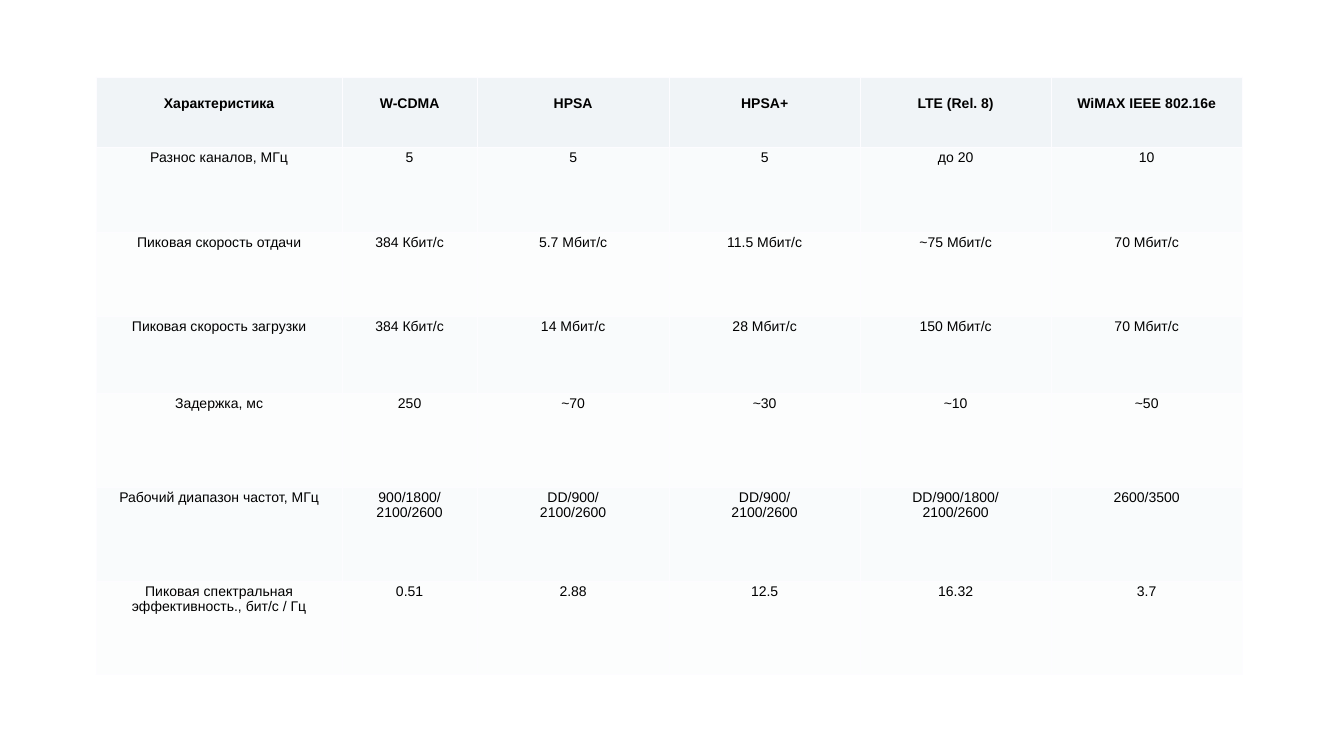
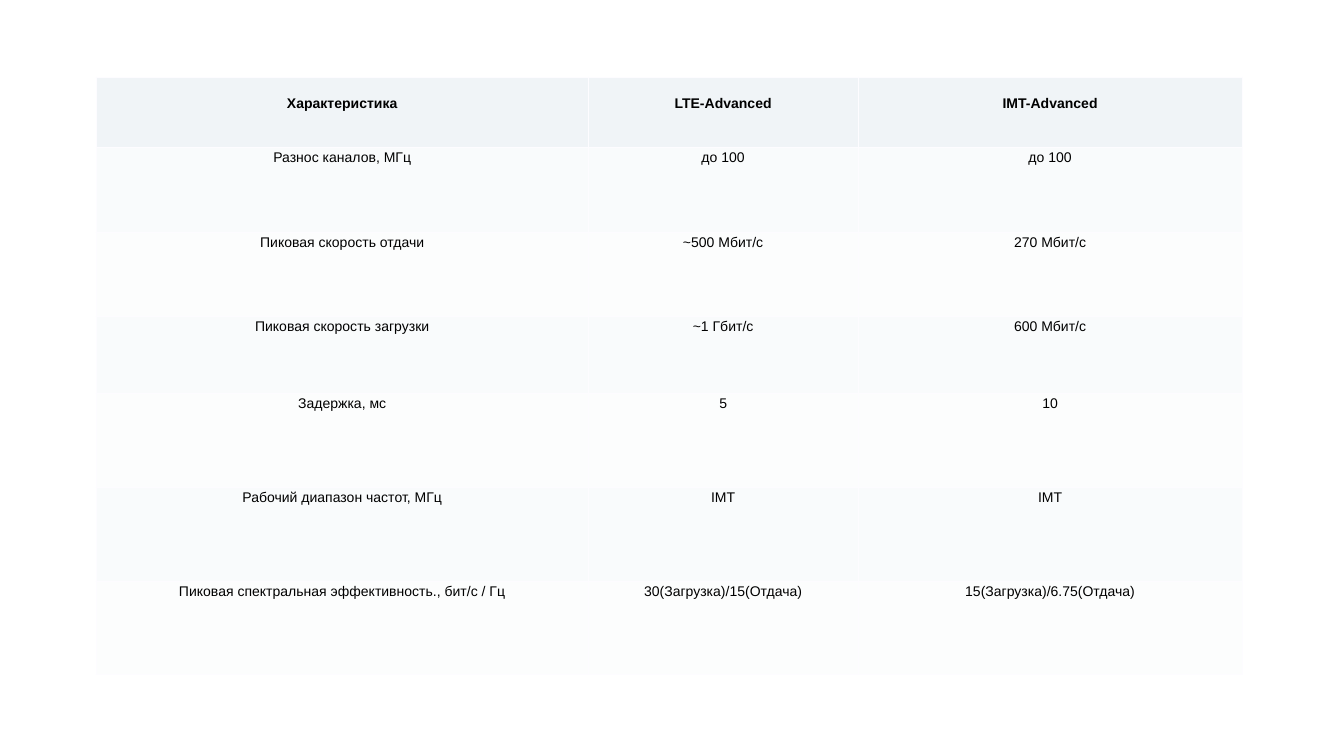
import pptx
import pptx.dml.color
import pptx.enum.text
import pptx.oxml.ns
import pptx.util
from lxml import etree

Pt = pptx.util.Pt

COLORS = {
    "header": "F0F4F7",
    "odd_row": "F9FBFC",
    "even_row": "FCFDFD",
    "border": "FDFCFF",
    "text": "000000",
}
FONT_NAME = "Arial"
FONT_SIZE = 20
HEADER_TOP_MARGIN = 26.6
THIN_BORDER, HEADER_BORDER = 1, 3

TABLE_BOX = (137.4, 109.8, 1637.2, 854)
ROW_WEIGHTS = (1.4, 1.68, 1.68, 1.52, 1.86, 1.86, 1.86)

CHARACTERISTICS = (
    "Характеристика",
    "Разнос каналов, МГц",
    "Пиковая скорость отдачи",
    "Пиковая скорость загрузки",
    "Задержка, мс",
    "Рабочий диапазон частот, МГц",
    "Пиковая спектральная эффективность., бит/с / Гц",
)

CURRENT_NETWORKS = (
    ("W-CDMA", "5", "384 Кбит/с", "384 Кбит/с", "250", "900/1800/\n2100/2600", "0.51"),
    ("HPSA", "5", "5.7 Мбит/с", "14 Мбит/с", "~70", "DD/900/\n2100/2600", "2.88"),
    ("HPSA+", "5", "11.5 Мбит/с", "28 Мбит/с", "~30", "DD/900/\n2100/2600", "12.5"),
    ("LTE (Rel. 8)", "до 20", "~75 Мбит/с", "150 Мбит/с", "~10",
     "DD/900/1800/\n2100/2600", "16.32"),
    ("WiMAX IEEE 802.16e", "10", "70 Мбит/с", "70 Мбит/с", "~50", "2600/3500", "3.7"),
)

ADVANCED_NETWORKS = (
    ("LTE-Advanced", "до 100", "~500 Мбит/с", "~1 Гбит/с", "5", "IMT",
     "30(Загрузка)/15(Отдача)"),
    ("IMT-Advanced", "до 100", "270 Мбит/с", "600 Мбит/с", "10", "IMT",
     "15(Загрузка)/6.75(Отдача)"),
)

SLIDES = (
    ((4.88, 2.68, 3.81, 3.79, 3.79, 3.79), CURRENT_NETWORKS),
    ((9.76, 5.35, 7.62), ADVANCED_NETWORKS),
)


def rgb(name):
    return pptx.dml.color.RGBColor.from_string(COLORS[name])


def set_borders(cell, row):
    qn = pptx.oxml.ns.qn
    properties = cell._tc.get_or_add_tcPr()
    widths = {
        "L": THIN_BORDER,
        "R": THIN_BORDER,
        "T": HEADER_BORDER if row == 1 else THIN_BORDER,
        "B": HEADER_BORDER if row == 0 else THIN_BORDER,
    }
    for side, width in widths.items():
        line = etree.SubElement(properties, qn(f"a:ln{side}"), w=str(Pt(width)))
        fill = etree.SubElement(line, qn("a:solidFill"))
        etree.SubElement(fill, qn("a:srgbClr"), val=COLORS["border"])


def fill_cell(cell, row, text):
    is_header = row == 0
    set_borders(cell, row)
    cell.fill.solid()
    band = "odd_row" if row % 2 else "even_row"
    cell.fill.fore_color.rgb = rgb("header" if is_header else band)
    cell.vertical_anchor = pptx.enum.text.MSO_ANCHOR.TOP
    if is_header:
        cell.margin_top = Pt(HEADER_TOP_MARGIN)
    cell.text_frame.text = text
    for para in cell.text_frame.paragraphs:
        para.alignment = pptx.enum.text.PP_ALIGN.CENTER
        for span in para.runs:
            span.font.name = FONT_NAME
            span.font.size = Pt(FONT_SIZE)
            span.font.bold = is_header
            span.font.color.rgb = rgb("text")


def share_length(tracks, weights, length):
    for track, weight in zip(tracks, weights):
        yield track, Pt(length * weight / sum(weights))


def add_comparison_table(page, box, column_weights, networks):
    left, top, width, height = box
    columns = (CHARACTERISTICS, *networks)
    frame = page.shapes.add_table(
        len(CHARACTERISTICS), len(columns), Pt(left), Pt(top), Pt(width), Pt(height)
    )
    table = frame.table
    table.horz_banding = False
    for column, size in share_length(table.columns, column_weights, width):
        column.width = size
    for row, size in share_length(table.rows, ROW_WEIGHTS, height):
        row.height = size
    for column_index, texts in enumerate(columns):
        for row_index, text in enumerate(texts):
            fill_cell(table.cell(row_index, column_index), row_index, text)


def main():
    deck = pptx.Presentation()
    deck.slide_width = Pt(1920)
    deck.slide_height = Pt(1080)
    for column_weights, networks in SLIDES:
        page = deck.slides.add_slide(deck.slide_layouts[6])
        add_comparison_table(page, TABLE_BOX, column_weights, networks)
    deck.save("out.pptx")


if __name__ == "__main__":
    main()
